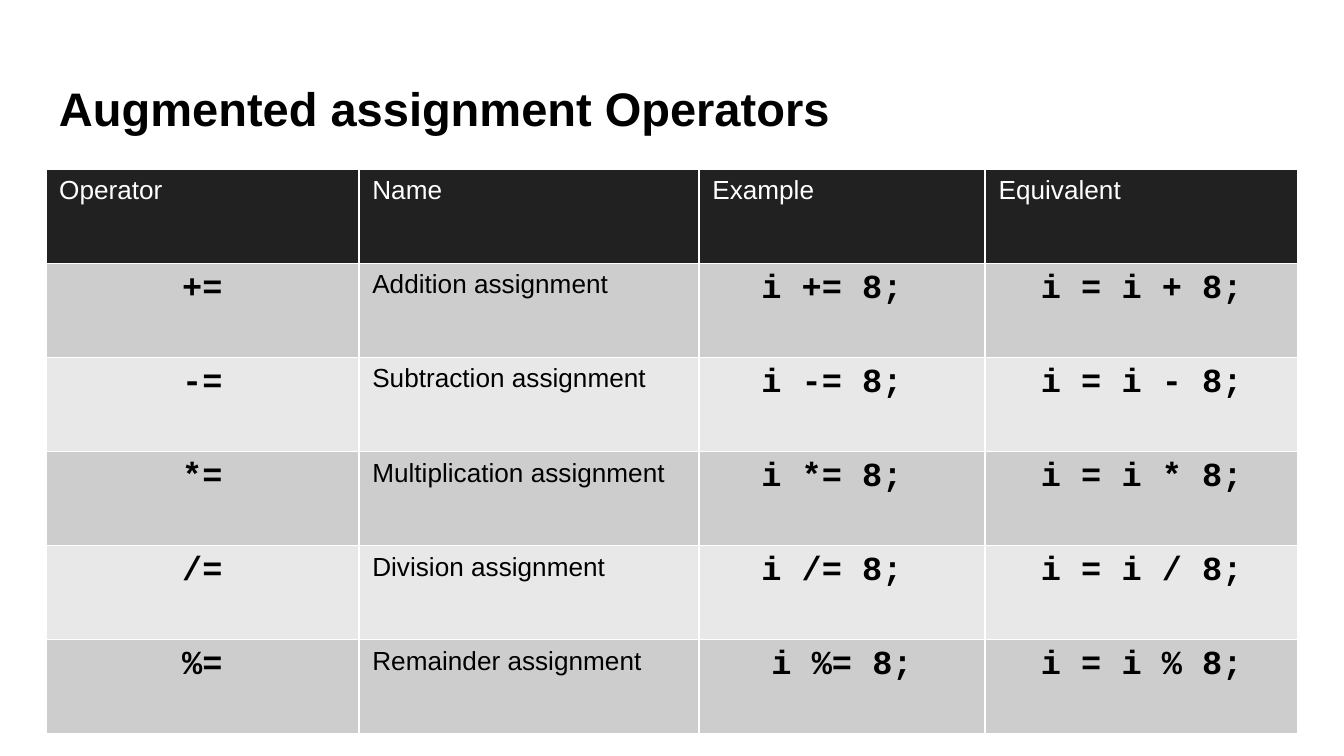
from typing import NamedTuple

from lxml import etree
from pptx import Presentation
from pptx import util as u
from pptx.dml import color
from pptx.enum import text
from pptx.oxml import ns

PX = u.Inches(1) // 200
SANS, MONO = "Arial", "Courier New"
WHITE, BLACK, HEAD = "FFFFFF", "000000", "212121"
BANDS = ("CDCDCD", "E8E8E8")
LEFT, WIDE = 68, 1864
COLS = (466, 506, 426, 466)
ROW = 140


class Row(NamedTuple):
    """One assignment operator and how it is used."""
    sign: str
    name: str
    use: str
    same: str


TITLES = Row("Operator", "Name", "Example", "Equivalent")
ROWS = (
    Row("+=", "Addition assignment", "i += 8; ", "i = i + 8;"),
    Row("-=", "Subtraction assignment", "i -= 8; ", "i = i - 8;"),
    Row("*=", "Multiplication assignment", "i *= 8; ", "i = i * 8;"),
    Row("/=", "Division assignment", "i /= 8; ", "i = i / 8;"),
    Row("%=", "Remainder assignment", "i %= 8;", "i = i % 8;"),
)


def px(n: int) -> int:
    """Turn px into EMU."""
    return u.Emu(n * PX)


def rgb(hue: str) -> color.RGBColor:
    """Turn a hex string into a colour."""
    return color.RGBColor.from_string(hue)


def write(frame, words: str, *, size: float = 14, face: str = SANS,
          hue: str = BLACK, bold: bool = False, mid: bool = False) -> None:
    """Put one formatted paragraph into a text frame."""
    para = frame.paragraphs[0]
    para.alignment = text.PP_ALIGN.CENTER if mid else text.PP_ALIGN.LEFT
    run = para.add_run()
    run.text = words
    font = run.font
    font.size, font.name, font.bold = u.Pt(size), face, bold
    font.color.rgb = rgb(hue)


def edge(cell, hue: str, width: float) -> None:
    """Draw a line on all four sides of a cell."""
    props = cell._tc.get_or_add_tcPr()
    for side in "LRTB":
        line = etree.SubElement(props, ns.qn(f"a:ln{side}"), w=str(u.Pt(width)))
        fill = etree.SubElement(line, ns.qn("a:solidFill"))
        etree.SubElement(fill, ns.qn("a:srgbClr"), val=hue)


def paint(cell, hue: str) -> None:
    """Give a cell its white edges and its fill."""
    edge(cell, WHITE, 1)
    cell.fill.solid()
    cell.fill.fore_color.rgb = rgb(hue)


def title(slide, words: str) -> None:
    """Add the slide title."""
    frame = slide.shapes.add_textbox(px(LEFT), px(98), px(WIDE), px(126)).text_frame
    frame.word_wrap = True
    frame.vertical_anchor = text.MSO_ANCHOR.MIDDLE
    frame.margin_left = frame.margin_right = px(20)
    frame.margin_top = frame.margin_bottom = px(20)
    write(frame, words, size=25.2, bold=True)


def grid(slide, head: Row, rows: tuple[Row, ...]) -> None:
    """Add the operator table with a dark head and banded rows."""
    count = len(rows) + 1
    table = slide.shapes.add_table(count, len(COLS), px(LEFT), px(252),
                                   px(WIDE), px(ROW * count)).table
    for col, width in zip(table.columns, COLS):
        col.width = px(width)
    for cell, words in zip(table.rows[0].cells, head):
        paint(cell, HEAD)
        write(cell.text_frame, words, hue=WHITE)
    for r, row in enumerate(rows):
        for cell, (field, words) in zip(table.rows[r + 1].cells, row._asdict().items()):
            paint(cell, BANDS[r % 2])
            if field == "name":
                write(cell.text_frame, words)
            else:
                write(cell.text_frame, words, size=18, face=MONO, bold=True, mid=True)


def main() -> None:
    """Build the slide and save it."""
    deck = Presentation()
    deck.slide_width, deck.slide_height = px(2000), px(1125)
    slide = deck.slides.add_slide(deck.slide_layouts[6])
    title(slide, "Augmented assignment Operators")
    grid(slide, TITLES, ROWS)
    deck.save("out.pptx")


if __name__ == "__main__":
    main()
